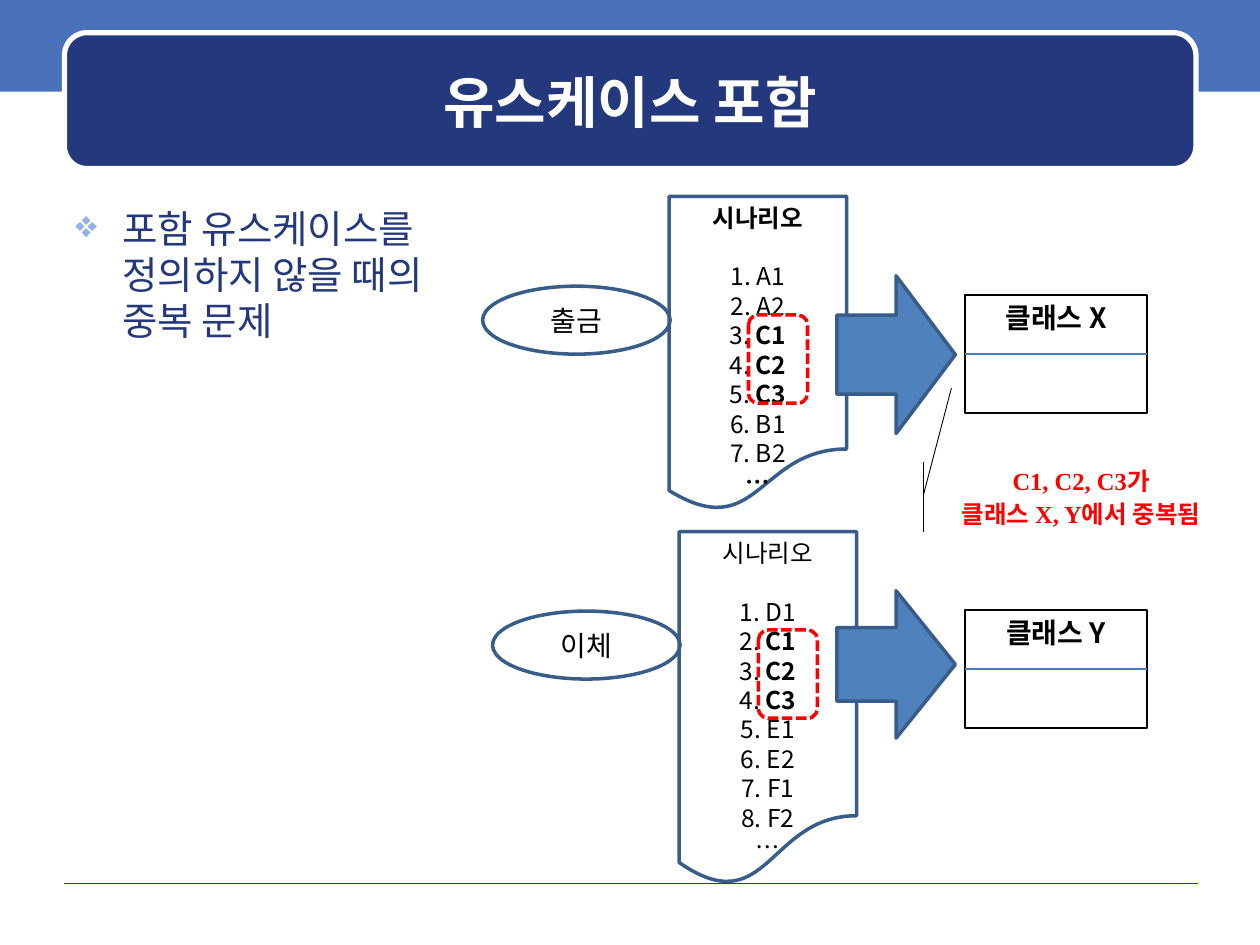
from lxml.etree import SubElement
from pptx import Presentation
from pptx.dml.color import RGBColor
from pptx.enum.dml import MSO_LINE
from pptx.enum.shapes import MSO_CONNECTOR, MSO_SHAPE
from pptx.enum.text import MSO_ANCHOR, PP_ALIGN
from pptx.oxml.ns import qn
from pptx.util import Cm, Pt

BAND_BLUE = RGBColor(0x49, 0x72, 0xBB)
NAVY = RGBColor(0x23, 0x38, 0x7D)
RULE_BLUE = RGBColor(0x1A, 0x3D, 0x97)
OUTLINE_BLUE = RGBColor(0x38, 0x5D, 0x8A)
ARROW_BLUE = RGBColor(0x4F, 0x81, 0xBD)
DIVIDER_BLUE = RGBColor(0x4A, 0x7E, 0xBB)
BULLET_BLUE = RGBColor(0x96, 0xB1, 0xE6)
WHITE = RGBColor(0xFF, 0xFF, 0xFF)
BLACK = RGBColor(0, 0, 0)
RED = RGBColor(0xFF, 0, 0)

KOREAN_FONT = "Noto Sans CJK KR"
LINE_PITCH = 1.2


def add_box(slide, kind, place, fill=None, line=None, width=2):
    """Add a preset shape; place is left, top, width, height in cm."""
    shape = slide.shapes.add_shape(kind, *map(Cm, place))
    shape.shadow.inherit = False
    if fill is None:
        shape.fill.background()
    else:
        shape.fill.solid()
        shape.fill.fore_color.rgb = fill
    if line is None:
        shape.line.fill.background()
    else:
        shape.line.color.rgb = line
        shape.line.width = Pt(width)
    return shape


def add_line(slide, start, end, color, width):
    line = slide.shapes.add_connector(
        MSO_CONNECTOR.STRAIGHT, *map(Cm, (*start, *end)))
    line.line.color.rgb = color
    line.line.width = Pt(width)
    SubElement(line._element.spPr, qn("a:effectLst"))
    return line


def style_span(span, size, color, bold, latin=KOREAN_FONT):
    span.font.size = Pt(size)
    span.font.bold = bold
    span.font.color.rgb = color
    span.font.name = latin
    east_asian = SubElement(span.font._element, qn("a:ea"))
    east_asian.set("typeface", KOREAN_FONT)


def write(box, text, size, color, bold=False, latin=KOREAN_FONT,
          align=PP_ALIGN.CENTER, anchor=MSO_ANCHOR.MIDDLE):
    frame = box.text_frame
    frame.word_wrap = True
    frame.vertical_anchor = anchor
    frame.text = text
    for para in frame.paragraphs:
        para.alignment = align
        para.line_spacing = Pt(size * LINE_PITCH)
        for span in para.runs:
            style_span(span, size, color, bold, latin)


def add_bullet(para, symbol, color):
    properties = para._p.get_or_add_pPr()
    properties.set("marL", str(Cm(0.95)))
    properties.set("indent", str(-Cm(0.95)))
    bullet_color = SubElement(properties, qn("a:buClr"))
    SubElement(bullet_color, qn("a:srgbClr")).set("val", str(color))
    SubElement(properties, qn("a:buChar")).set("char", symbol)


def add_scenario(slide, place, steps, bold):
    """Add a document of numbered steps; the shared C steps are bold."""
    size = 14
    document = add_box(slide, MSO_SHAPE.FLOWCHART_DOCUMENT, place,
                       line=OUTLINE_BLUE)
    numbers = [f"{number}. " for number in range(1, len(steps) + 1)]
    write(document, "\n".join(["시나리오", *numbers, "…"]), size, BLACK, bold,
          anchor=MSO_ANCHOR.TOP)
    step_paras = document.text_frame.paragraphs[1:-1]
    step_paras[0].space_before = Pt(size * LINE_PITCH)
    for para, step in zip(step_paras, steps):
        para.runs[0].font.bold = False
        span = para.add_run()
        span.text = step
        style_span(span, size, BLACK, step.startswith("C"))


def add_shared_steps_frame(slide, left, top):
    frame = add_box(slide, MSO_SHAPE.ROUNDED_RECTANGLE,
                    (left, top, 1.19, 1.78), line=RED)
    frame.line.dash_style = MSO_LINE.SQUARE_DOT


def add_use_case(slide, name, left, top):
    ellipse = add_box(slide, MSO_SHAPE.OVAL, (left, top, 3.78, 1.37),
                      line=OUTLINE_BLUE)
    write(ellipse, name, 16, BLACK)
    ellipse.text_frame.margin_left = ellipse.text_frame.margin_right = 0


def add_class(slide, name, top):
    left, width, height = 19.46, 3.66, 2.39
    box = add_box(slide, MSO_SHAPE.RECTANGLE, (left, top, width, height),
                  line=BLACK, width=1.25)
    write(box, name, 16, BLACK, True, anchor=MSO_ANCHOR.TOP)
    middle = top + height / 2
    divider = add_line(slide, (left, middle), (left + width, middle),
                       DIVIDER_BLUE, 0.75)
    divider.begin_connect(box, 1)
    divider.end_connect(box, 3)


def add_arrow(slide, top, height):
    add_box(slide, MSO_SHAPE.RIGHT_ARROW, (16.87, top, 2.39, height),
            ARROW_BLUE, OUTLINE_BLUE)


def add_heading(slide, text):
    add_box(slide, MSO_SHAPE.RECTANGLE, (0, 0, 25.4, 1.85), BAND_BLUE)
    add_line(slide, (1.3, 17.81), (24.16, 17.81), RULE_BLUE, 0.5)
    title = add_box(slide, MSO_SHAPE.ROUNDED_RECTANGLE,
                    (1.3, 0.66, 22.81, 2.74), NAVY, WHITE, 3)
    write(title, text, 32, WHITE, True)


def add_body(slide, text):
    body = slide.shapes.add_textbox(*map(Cm, (1.27, 4.01, 8.26, 13.54)))
    write(body, text, 22, NAVY, align=PP_ALIGN.LEFT, anchor=MSO_ANCHOR.TOP)
    add_bullet(body.text_frame.paragraphs[0], "❖", BULLET_BLUE)


def add_callout(slide, text):
    left, top, height = 18.62, 9.32, 1.4
    note = slide.shapes.add_textbox(*map(Cm, (left, top, 6.35, height)))
    write(note, text, 14, RED, True, "Times New Roman")
    note.text_frame.paragraphs[1].space_before = Pt(1.8)
    add_line(slide, (19.18, 7.82), (left, 9.96), BLACK, 0.5)
    add_line(slide, (left, top), (left, top + height), BLACK, 0.5)


def main():
    deck = Presentation()
    deck.slide_width, deck.slide_height = Cm(25.4), Cm(19.05)
    slide = deck.slides.add_slide(deck.slide_layouts[6])

    add_heading(slide, "유스케이스 포함")
    add_body(slide, "포함 유스케이스를 정의하지 않을 때의 중복 문제")

    add_scenario(slide, (13.49, 3.96, 3.58, 6.35),
                 ["A1", "A2", "C1", "C2", "C3", "B1", "B2"], True)
    add_scenario(slide, (13.69, 10.72, 3.58, 7.14),
                 ["D1", "C1", "C2", "C3", "E1", "E2", "F1", "F2"], False)
    add_shared_steps_frame(slide, 15.09, 6.35)
    add_shared_steps_frame(slide, 15.29, 12.7)
    add_use_case(slide, "출금", 9.73, 5.77)
    add_use_case(slide, "이체", 9.93, 12.32)
    add_class(slide, "클래스 X", 5.94)
    add_arrow(slide, 5.56, 3.18)
    add_class(slide, "클래스 Y", 12.29)
    add_arrow(slide, 11.91, 2.97)
    add_callout(slide, "C1, C2, C3가\n클래스 X, Y에서 중복됨")

    deck.save("out.pptx")


if __name__ == "__main__":
    main()
